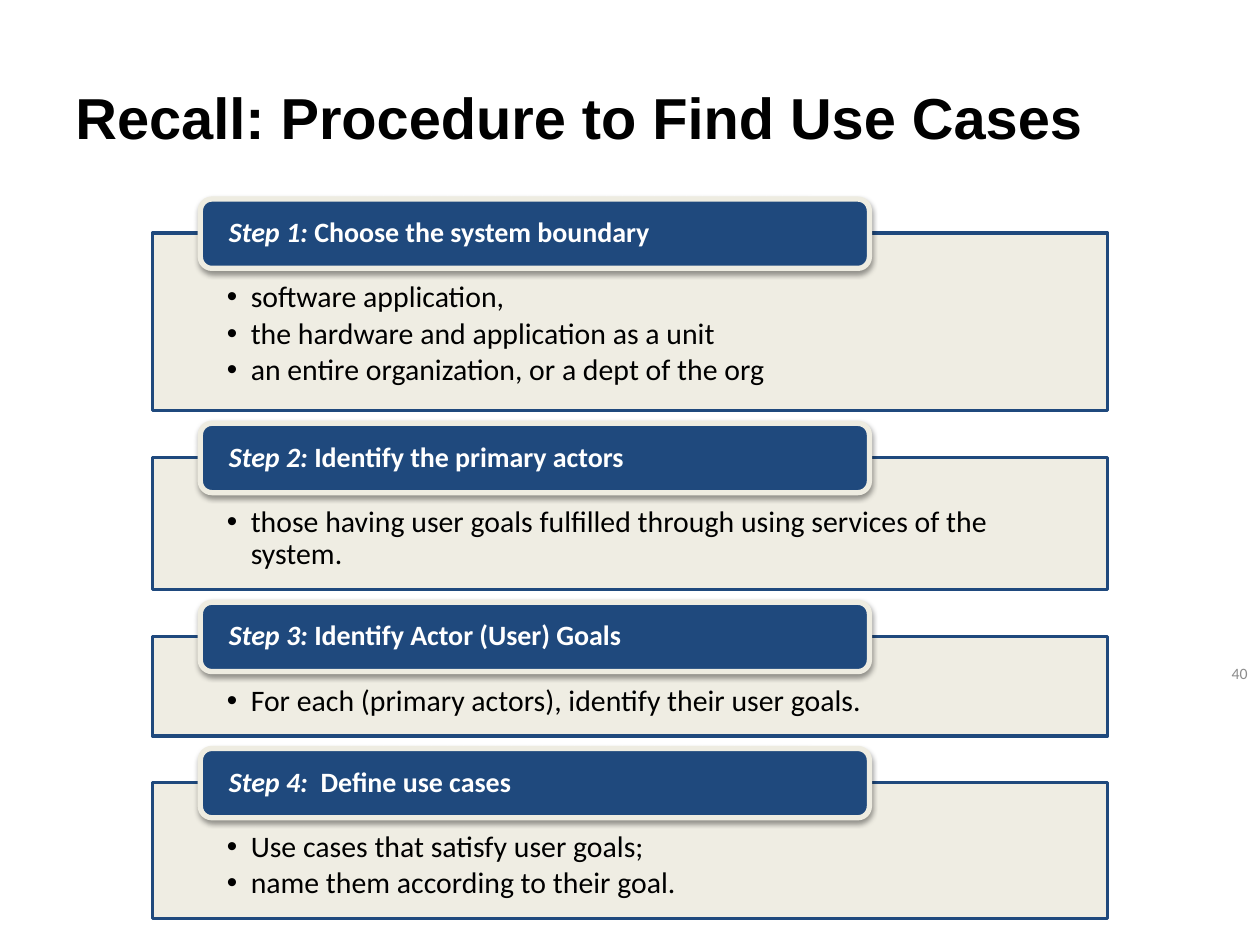
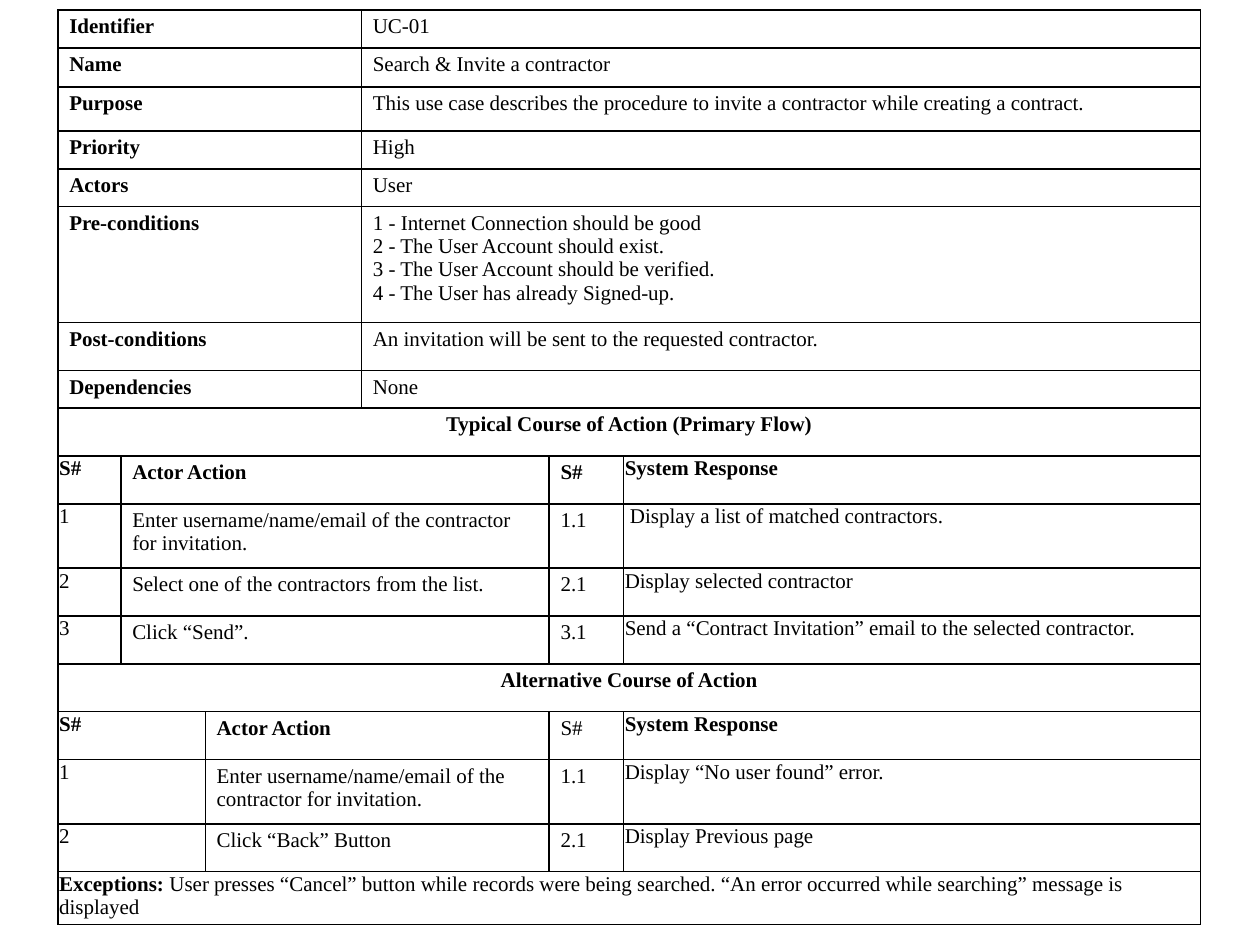
from itertools import accumulate
from lxml import etree
from pptx import Presentation
from pptx import util as u
from pptx.dml.color import RGBColor
from pptx.enum import shapes, text
from pptx.oxml import parse_xml
from pptx.oxml.ns import nsdecls, qn

BLACK = RGBColor(0x00, 0x00, 0x00)
WHITE = RGBColor(0xFF, 0xFF, 0xFF)
NAVY = RGBColor(0x1F, 0x49, 0x7D)
CREAM = RGBColor(0xEE, 0xEC, 0xE1)
GREY = RGBColor(0x8C, 0x8C, 0x8C)

TITLE_FONT = dict(name="Arial", size=u.Pt(33), bold=True, color=BLACK)
NUMBER_FONT = dict(name="Calibri", size=u.Pt(9), color=GREY)
BULLET_FONT = dict(name="Calibri", size=u.Pt(17), color=BLACK)
STEP_FONT = dict(name="Calibri", size=u.Pt(16), bold=True, color=WHITE)
TABLE_FONT = dict(name="Times New Roman", size=u.Pt(12), color=BLACK)

TITLE = "Recall: Procedure to Find Use Cases"
PAGE_NUMBER = "40"
STEPS = [
    (1.41, "Choose the system boundary", [
        "software application,",
        "the hardware and application as a unit",
        "an entire organization, or a dept of the org",
    ]),
    (1.05, "Identify the primary actors", [
        "those having user goals fulfilled through using services of the system.",
    ]),
    (0.79, "Identify Actor (User) Goals", [
        "For each (primary actors), identify their user goals.",
    ]),
    (1.08, " Define use cases", [
        "Use cases that satisfy user goals;",
        "name them according to their goal.",
    ]),
]
PANEL_LEFT, PANEL_TOP, PANEL_WIDTH, PANEL_GAP = 1.21, 1.85, 7.58, 0.37
TAB_LEFT, TAB_RISE, TAB_WIDTH, TAB_HEIGHT = 1.59, 0.27, 5.31, 0.55
PANEL_INSETS = (0.59, 0.39, 0.59, 0.13)
TAB_INSETS = (0.2, 0, 0.2, 0)

ROOMY = (0.09, 0.04, 0.09, 0.04)
TIGHT = (0.01, 0.01, 0.01, 0.01)
FIELD = [(3, ROOMY), (3, ROOMY)]
BANNER = [(6, ROOMY)]
PRIMARY = [(1, TIGHT), (3, ROOMY), (1, ROOMY), (1, TIGHT)]
ALTERNATIVE = [(2, TIGHT), (2, ROOMY), (1, ROOMY), (1, TIGHT)]
FOOTNOTE = [(6, TIGHT)]
COLUMN_WIDTHS = [0.5, 0.67, 1.24, 1.49, 0.59, 4.58]
USE_CASE = [
    (0.3, FIELD, ["**Identifier**", "UC-01"]),
    (0.31, FIELD, ["**Name**", "Search & Invite a contractor"]),
    (0.35, FIELD, ["**Purpose**", "This use case describes the procedure to invite a "
                   "contractor while creating a contract."]),
    (0.3, FIELD, ["**Priority**", "High"]),
    (0.3, FIELD, ["**Actors**", "User"]),
    (0.92, FIELD, ["**Pre-conditions**",
                   "1 - Internet Connection should be good\n"
                   "2 - The User Account should exist.\n"
                   "3 - The User Account should be verified.\n"
                   "4 - The User has already Signed-up."]),
    (0.38, FIELD, ["**Post-conditions**",
                   "An invitation will be sent to the requested contractor."]),
    (0.3, FIELD, ["**Dependencies**", "None"]),
    (0.38, BANNER, ["**Typical Course of Action (Primary Flow)**"]),
    (0.38, PRIMARY, ["**S#**", "**Actor Action**", "**S#**", "**System Response**"]),
    (0.51, PRIMARY, ["1", "Enter username/name/email of the contractor for invitation.",
                     "1.1", " Display a list of matched contractors."]),
    (0.38, PRIMARY, ["2", "Select one of the contractors from the list.",
                     "2.1", "Display selected contractor"]),
    (0.38, PRIMARY, ["3", "Click “Send”.", "3.1",
                     "Send a “Contract Invitation” email to the selected contractor."]),
    (0.38, BANNER, ["**Alternative Course of Action**"]),
    (0.38, ALTERNATIVE, ["**S#**", "**Actor Action**", "S#", "**System Response**"]),
    (0.51, ALTERNATIVE, ["1", "Enter username/name/email of the contractor for invitation.",
                         "1.1", "Display “No user found” error."]),
    (0.38, ALTERNATIVE, ["2", "Click “Back” Button", "2.1", "Display Previous page"]),
    (0.38, FOOTNOTE, ["**Exceptions:** User presses “Cancel” button while records were "
                      "being searched. “An error occurred while searching” message is "
                      "displayed"]),
]


def set_margins(target, insets):
    for side, inset in zip(("left", "top", "right", "bottom"), insets):
        setattr(target, f"margin_{side}", u.Inches(inset))


def add_span(para, words, style, **changes):
    span = para.add_run()
    span.text = words
    for name, value in {**style, **changes}.items():
        if name == "color":
            span.font.color.rgb = value
        else:
            setattr(span.font, name, value)


def add_paras(frame, count):
    return [frame.paragraphs[0]] + [frame.add_paragraph() for _ in range(count - 1)]


def add_label(page, words, style, place, align):
    box = page.shapes.add_textbox(*map(u.Inches, place))
    frame = box.text_frame
    frame.word_wrap = True
    frame.vertical_anchor = text.MSO_ANCHOR.MIDDLE
    para = frame.paragraphs[0]
    para.alignment = align
    add_span(para, words, style)
    return para


def add_block(page, kind, place, fill, line, width, insets, anchor):
    block = page.shapes.add_shape(kind, *map(u.Inches, place))
    block.shadow.inherit = False
    block.fill.solid()
    block.fill.fore_color.rgb = fill
    block.line.color.rgb = line
    block.line.width = u.Pt(width)
    frame = block.text_frame
    frame.word_wrap = True
    frame.vertical_anchor = anchor
    set_margins(frame, insets)
    return block


def add_bullet(para):
    properties = para._p.get_or_add_pPr()
    properties.set("marL", str(u.Inches(0.19)))
    properties.set("indent", str(-u.Inches(0.19)))
    etree.SubElement(properties, qn("a:buFont")).set("typeface", "Arial")
    etree.SubElement(properties, qn("a:buChar")).set("char", "•")


def add_panel(page, top, height, points):
    panel = add_block(page, shapes.MSO_SHAPE.RECTANGLE,
                      (PANEL_LEFT, top, PANEL_WIDTH, height),
                      CREAM, NAVY, 2, PANEL_INSETS, text.MSO_ANCHOR.TOP)
    color = panel._element.spPr.find(qn("a:solidFill"))[0]
    etree.SubElement(color, qn("a:alpha")).set("val", "90000")
    for para, point in zip(add_paras(panel.text_frame, len(points)), points):
        para.alignment = text.PP_ALIGN.LEFT
        add_bullet(para)
        para.line_spacing = 0.9
        para.space_after = u.Pt(2.5)
        add_span(para, point, BULLET_FONT)


def add_step_tab(page, top, number, heading):
    tab = add_block(page, shapes.MSO_SHAPE.ROUNDED_RECTANGLE,
                    (TAB_LEFT, top, TAB_WIDTH, TAB_HEIGHT),
                    NAVY, CREAM, 3, TAB_INSETS, text.MSO_ANCHOR.MIDDLE)
    tab._element.spPr.find(qn("a:effectLst")).append(parse_xml(
        f'<a:outerShdw {nsdecls("a")} blurRad="{u.Pt(3.1)}" dist="{u.Pt(1.6)}" '
        'dir="5400000" rotWithShape="0"><a:srgbClr val="000000">'
        '<a:alpha val="38000"/></a:srgbClr></a:outerShdw>'))
    para = tab.text_frame.paragraphs[0]
    para.alignment = text.PP_ALIGN.LEFT
    para.line_spacing = 0.9
    add_span(para, f"Step {number}: ", STEP_FONT, italic=True)
    add_span(para, heading, STEP_FONT, italic=False)


def build_procedure(page):
    add_label(page, TITLE, TITLE_FONT, (0.5, 0.3, 9, 1.25), text.PP_ALIGN.LEFT)
    number = add_label(page, PAGE_NUMBER, NUMBER_FONT, (7.75, 5.21, 2.25, 0.3),
                       text.PP_ALIGN.RIGHT)
    number.line_spacing = 0.8
    tops = accumulate((step[0] + PANEL_GAP for step in STEPS), initial=PANEL_TOP)
    for number, (top, (height, heading, points)) in enumerate(zip(tops, STEPS), 1):
        add_panel(page, top, height, points)
        add_step_tab(page, top - TAB_RISE, number, heading)


def add_borders(cell):
    properties = cell._tc.get_or_add_tcPr()
    for index, side in enumerate("LRTB"):
        properties.insert(index, parse_xml(
            f'<a:ln{side} {nsdecls("a")} w="{u.Pt(1)}"><a:solidFill>'
            f'<a:srgbClr val="{BLACK}"/></a:solidFill></a:ln{side}>'))


def fill_cell(cell, words, insets, align):
    set_margins(cell, insets)
    lines = words.split("\n")
    for para, line in zip(add_paras(cell.text_frame, len(lines)), lines):
        para.alignment = align
        for index, part in enumerate(line.split("**")):
            if part:
                add_span(para, part, TABLE_FONT, bold=index % 2 == 1)


def build_use_case(page):
    heights = [row[0] for row in USE_CASE]
    frame = page.shapes.add_table(
        len(USE_CASE), len(COLUMN_WIDTHS), u.Inches(0.46), u.Inches(0.08),
        u.Inches(sum(COLUMN_WIDTHS)), u.Inches(sum(heights)))
    table = frame.table
    table.first_row = table.horz_banding = False
    for column, width in zip(table.columns, COLUMN_WIDTHS):
        column.width = u.Inches(width)
    for row, height in zip(table.rows, heights):
        row.height = u.Inches(height)
    for cell in table.iter_cells():
        cell.fill.background()
        add_borders(cell)
    for index, (_, layout, texts) in enumerate(USE_CASE):
        align = text.PP_ALIGN.CENTER if layout is BANNER else text.PP_ALIGN.LEFT
        start = 0
        for (columns, insets), words in zip(layout, texts):
            cell = table.cell(index, start)
            if columns > 1:
                cell.merge(table.cell(index, start + columns - 1))
            fill_cell(cell, words, insets, align)
            start += columns


def main():
    deck = Presentation()
    deck.slide_width, deck.slide_height = u.Inches(10), u.Inches(7.5)
    for build in (build_procedure, build_use_case):
        build(deck.slides.add_slide(deck.slide_layouts[6]))
    deck.save("out.pptx")


if __name__ == "__main__":
    main()
